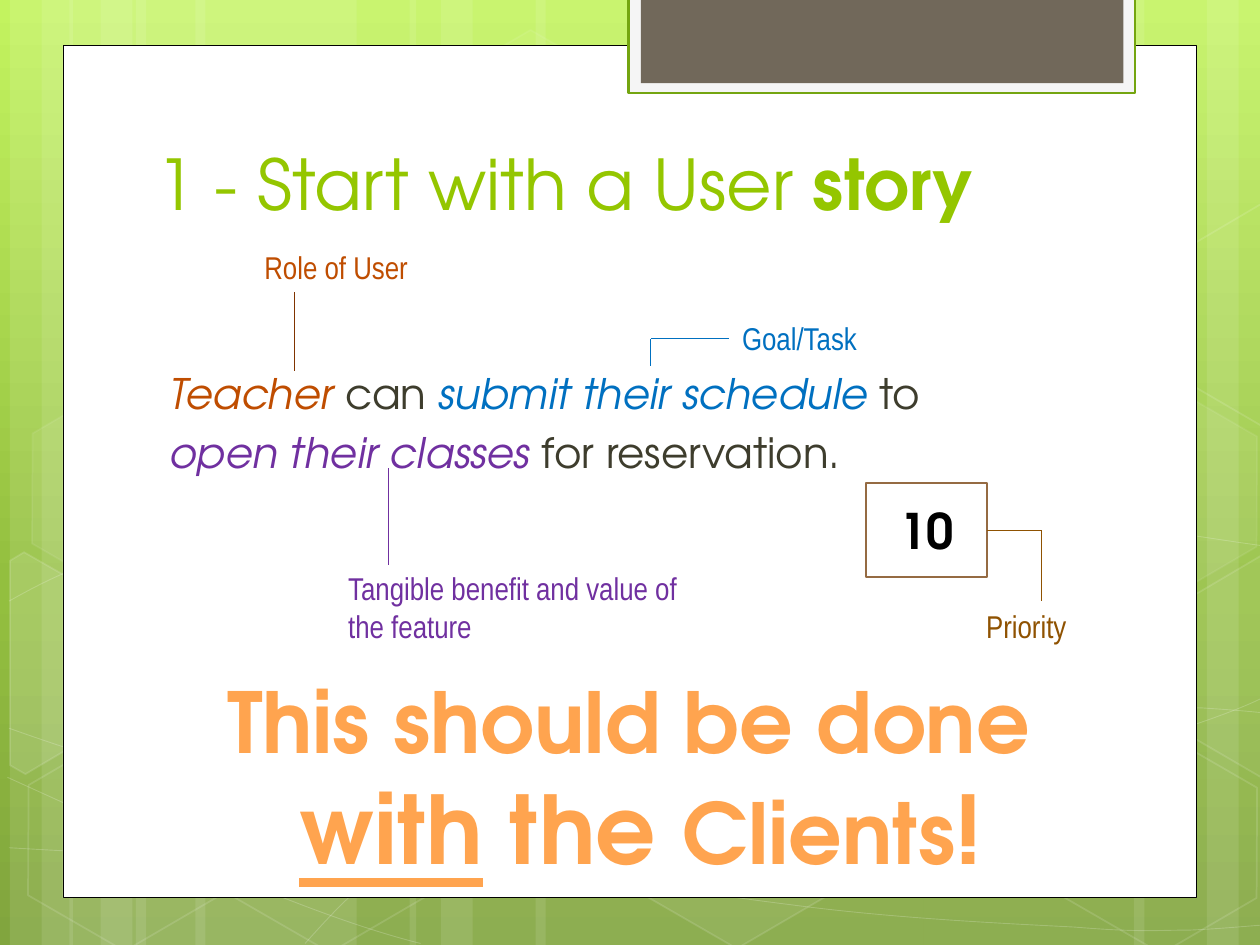
"""Build the user story slide with its green patterned frame."""
from copy import deepcopy
from math import cos, radians, sin

from lxml import etree
from pptx import Presentation
from pptx.dml.color import RGBColor
from pptx.enum.shapes import MSO_CONNECTOR, MSO_SHAPE
from pptx.enum.text import MSO_ANCHOR, MSO_AUTO_SIZE, PP_ALIGN
from pptx.oxml.ns import qn
from pptx.util import Cm, Pt

RECT, HEX = MSO_SHAPE.RECTANGLE, MSO_SHAPE.HEXAGON
STRAIGHT = MSO_CONNECTOR.STRAIGHT
LEFT, CENTER = PP_ALIGN.LEFT, PP_ALIGN.CENTER
TOP, MIDDLE, BOTTOM = MSO_ANCHOR.TOP, MSO_ANCHOR.MIDDLE, MSO_ANCHOR.BOTTOM
FIXED = MSO_AUTO_SIZE.NONE
ROUND, NARROW = "TeX Gyre Adventor", "Arial Narrow"
TURN = 30
HUES = {
    "white": "FFFFFF", "black": "000000", "ink": "3E3D2D", "lime": "94C600",
    "rust": "BF4D00", "umber": "803400", "blue": "0070C0", "plum": "7030A0",
    "gold": "8F5201", "amber": "FFA44F", "wood": "956B43", "mist": "F5F5F5",
    "moss": "74A510", "stone": "71685A",
    "sky": "C3F35F", "leaf": "93BF3F", "grass": "81A53E",
}
RGB = {name: RGBColor.from_string(code) for name, code in HUES.items()}


def ghost(shape, fill, edge, width=1):
    """Give a shape white fill and edge with the given opacities."""
    shape.shadow.inherit = False
    for paint, level in ((shape.fill, fill), (shape.line.fill, edge)):
        if level:
            paint.solid()
            paint.fore_color.rgb = RGB["white"]
        else:
            paint.background()
    if edge:
        shape.line.width = Pt(width)
    tints = shape.element.xpath("./p:spPr//a:srgbClr")
    for tint, level in zip(tints, filter(None, (fill, edge))):
        etree.SubElement(tint, qn("a:alpha")).set("val", str(level * 1000))


def write(frame, lines, font, align=LEFT, anchor=TOP):
    """Fill a frame with lines of (text, size, hue, style) runs."""
    frame.auto_size = FIXED
    frame.vertical_anchor = anchor
    frame.text = "\n".join(line[0][0] for line in lines)
    for para, line in zip(frame.paragraphs, lines):
        para.alignment = align
        for part in line[1:]:
            para.add_run().text = part[0]
        for run, (_, size, hue, style) in zip(para.runs, line):
            run.font.name = font
            run.font.size = Pt(size)
            run.font.color.rgb = RGB[hue]
            run.font.bold = "b" in style
            run.font.italic = "i" in style
            run.font.underline = "u" in style


deck = Presentation()
deck.slide_width, deck.slide_height = Cm(25.4), Cm(19.05)
slide = deck.slides.add_slide(deck.slide_layouts[1])
shapes = slide.shapes

back = slide.background.fill
back.gradient()
back.gradient_angle = 270
stops = slide.element.xpath(".//a:gsLst")[0]
stops.append(deepcopy(stops[-1]))
for stop, hue, place in zip(back.gradient_stops, ("sky", "leaf", "grass"), (0, 0.62, 1)):
    stop.color.rgb = RGB[hue]
    stop.position = place

bands = [(2.74, 4.45), (0.2, 1.27), (0.84, 2.11), (3.94, 4.45), (1.4, 1.27), (2.03, 2.11),
         (18.62, 4.45), (24.33, 1.27), (22.86, 2.11), (10.8, 7.82), (8.26, 1.27), (8.89, 2.11)]
for x, w in bands:
    ghost(shapes.add_shape(RECT, Cm(x), 0, Cm(w), Cm(19.05)), 10, 0)

curves = [
    [(0.18, 17.09), (1.55, 17.17), (2.92, 17.25), (4.83, 17.22), (6.73, 17.2), (9.09, 17.15),
     (11.63, 16.89), (14.17, 16.64), (17.78, 16.15), (20.12, 15.67), (22.43, 15.19),
     (24.82, 14.43), (25.58, 14)],
    [(0.18, 12.12), (0.91, 11.71), (1.65, 11.33), (3.07, 10.95), (4.52, 10.52), (6.58, 10.01),
     (8.81, 9.83), (11.07, 9.65), (13.82, 9.63), (16.61, 9.83), (19.41, 10.03),
     (24.05, 10.82), (25.58, 11.02)],
    [(0.15, 15.67), (3.23, 17.07), (6.27, 18.47), (8.48, 19.02)],
    [(0.18, 14.68), (0.97, 14.96), (1.78, 15.24), (3.25, 15.65), (4.72, 16.03), (6.93, 16.66),
     (9.07, 17.09), (11.18, 17.53), (13.84, 17.98), (15.95, 18.24), (18.06, 18.52),
     (20.32, 18.62), (21.67, 18.69), (22.99, 18.8), (23.34, 18.75), (24, 18.75),
     (24.66, 18.72), (25.12, 18.67), (25.58, 18.64)],
    [(6.15, 19.02), (6.6, 18.52), (7.06, 18.01), (7.67, 17.55), (8.28, 17.09), (9.14, 16.59),
     (9.86, 16.23), (10.57, 15.88), (11, 15.72), (11.94, 15.47), (12.85, 15.21),
     (14.55, 14.86), (15.44, 14.68), (16.36, 14.5), (16.48, 14.5), (17.27, 14.45),
     (17.91, 14.38), (19.3, 14.3), (20.17, 14.27), (21.06, 14.25), (22.5, 14.27),
     (22.5, 14.27), (23.1, 14.27), (23.6, 14.27), (24.21, 14.27), (24.66, 14.3),
     (25.1, 14.33), (25.55, 14.38)],
]
for curve in curves:
    dots = [(x * 100, y * 100) for x, y in curve]
    draft = shapes.build_freeform(*dots[0], scale=Cm(0.01))
    draft.add_line_segments(dots[1:], close=False)
    wave = draft.convert_to_shape()
    track = wave.element.xpath(".//a:path")[0]
    steps = track.xpath("./a:lnTo")
    for i in range(0, len(steps), 3):
        bend = etree.SubElement(track, qn("a:cubicBezTo"))
        for step in steps[i:i + 3]:
            bend.append(step[0])
            track.remove(step)
    ghost(wave, 0, 20, 0.5)

tiles = [(8.48, 0.91, 4, 8), (12.62, 14.96, 6, 12), (0.28, 15.01, 0, 12), (0.36, 7.92, 7, 8),
         (4.42, 15.04, 0, 12), (19.13, 11.51, 10, 12), (21.18, 15.06, 0, 12),
         (21.18, 7.98, 7, 8)]
for x, y, fill, edge in tiles:
    tile = shapes.add_shape(HEX, Cm(x), Cm(y), Cm(4.45), Cm(3.86))
    tile.adjustments[0] = 0.285
    tile.rotation = TURN
    ghost(tile, fill, edge)

right = [(-150, -89), (41, -201), (61, -188), (61, 236), (43, 246), (-150, 134)]
halves = [
    (91, 1359, [(-71, -229), (-43, -246), (153, -135), (150, 89), (-40, 201), (-71, 183)], 10),
    (2502, 1321, right, 4),
    (2502, 612, right, 0),
]
c, s = cos(radians(TURN)), sin(radians(TURN))
for x, y, rim, fill in halves:
    dots = [(x + a * c + b * s, y - a * s + b * c) for a, b in rim]
    draft = shapes.build_freeform(*dots[0], scale=Cm(0.01))
    draft.add_line_segments(dots[1:], close=True)
    half = draft.convert_to_shape()
    half.rotation = TURN
    ghost(half, fill, 12)

cards = [
    (1.27, 0.91, 22.86, 17.19, "white", "black", 0.5),
    (12.67, -0.05, 10.21, 1.93, "mist", "moss", 1.25),
    (12.92, -0.05, 9.73, 1.73, "stone", None, 0),
    (17.46, 9.74, 2.44, 1.9, "white", "wood", 1.25),
]
for x, y, w, h, hue, edge, width in cards:
    card = shapes.add_shape(RECT, Cm(x), Cm(y), Cm(w), Cm(h))
    card.shadow.inherit = False
    card.fill.solid()
    card.fill.fore_color.rgb = RGB[hue]
    if edge:
        card.line.color.rgb = RGB[edge]
        card.line.width = Pt(width)
    else:
        card.line.fill.background()
write(card.text_frame, [[("10", 28, "black", "b")]], ROUND, CENTER, MIDDLE)

title, body = shapes.title, slide.placeholders[1]
title.left, title.top, title.width, title.height = Cm(2.9), Cm(1.47), Cm(19.51), Cm(3.18)
body.left, body.top, body.width, body.height = Cm(2.98), Cm(7.29), Cm(18.82), Cm(3.61)
for holder in (title, body):
    holder.element.getparent().append(holder.element)
write(title.text_frame, [[("1 - Start with a User ", 40, "lime", ""),
                          ("story", 40, "lime", "b")]], ROUND, LEFT, BOTTOM)
write(body.text_frame, [
    [("Teacher", 24, "rust", "i"), (" can ", 24, "ink", ""),
     ("submit their schedule ", 24, "blue", "i"), ("to", 24, "ink", "")],
    [("open their classes ", 24, "plum", "i"), ("for reservation.", 24, "ink", "")],
], ROUND)
for para in body.text_frame.paragraphs:
    para.space_before = Pt(4.8)
for props in body.element.xpath(".//a:pPr"):
    props.set("marL", str(Cm(0.18)))
    props.set("indent", "0")
    etree.SubElement(props, qn("a:buNone"))

labels = [
    (5.08, 4.88, 5.51, 1.02, "Role of User", "rust"),
    (14.71, 6.3, 5.51, 1.02, "Goal/Task", "blue"),
    (6.77, 11.35, 7.62, 1.8, "Tangible benefit and value of the feature", "plum"),
    (19.63, 12.12, 2.74, 1.02, "Priority", "gold"),
]
for x, y, w, h, text, hue in labels:
    frame = shapes.add_textbox(Cm(x), Cm(y), Cm(w), Cm(h)).text_frame
    frame.word_wrap = True
    write(frame, [[(text, 18, hue, "")]], NARROW)

slogan = shapes.add_textbox(Cm(4.25), Cm(13.37), Cm(17.32), Cm(4.62)).text_frame
slogan.word_wrap = False
write(slogan, [
    [("This should be done ", 48, "amber", "b")],
    [("with", 54, "amber", "bu"), (" the ", 54, "amber", "b"),
     ("Clients", 48, "amber", "b"), ("!", 54, "amber", "b")],
], ROUND, CENTER)

leads = [
    (14.7, 6.83, 13.12, 6.83, "blue"), (13.12, 6.83, 13.12, 7.37, "blue"),
    (5.93, 5.89, 5.93, 7.48, "umber"), (7.83, 9.44, 7.83, 11.39, "plum"),
    (19.89, 10.69, 21, 10.69, "gold"), (21, 10.69, 21, 12.12, "gold"),
]
for x, y, far, low, hue in leads:
    lead = shapes.add_connector(STRAIGHT, Cm(x), Cm(y), Cm(far), Cm(low))
    lead.line.color.rgb = RGB[hue]
    lead.line.width = Pt(0.75)
    etree.SubElement(lead.element.spPr, qn("a:effectLst"))

deck.save("out.pptx")
